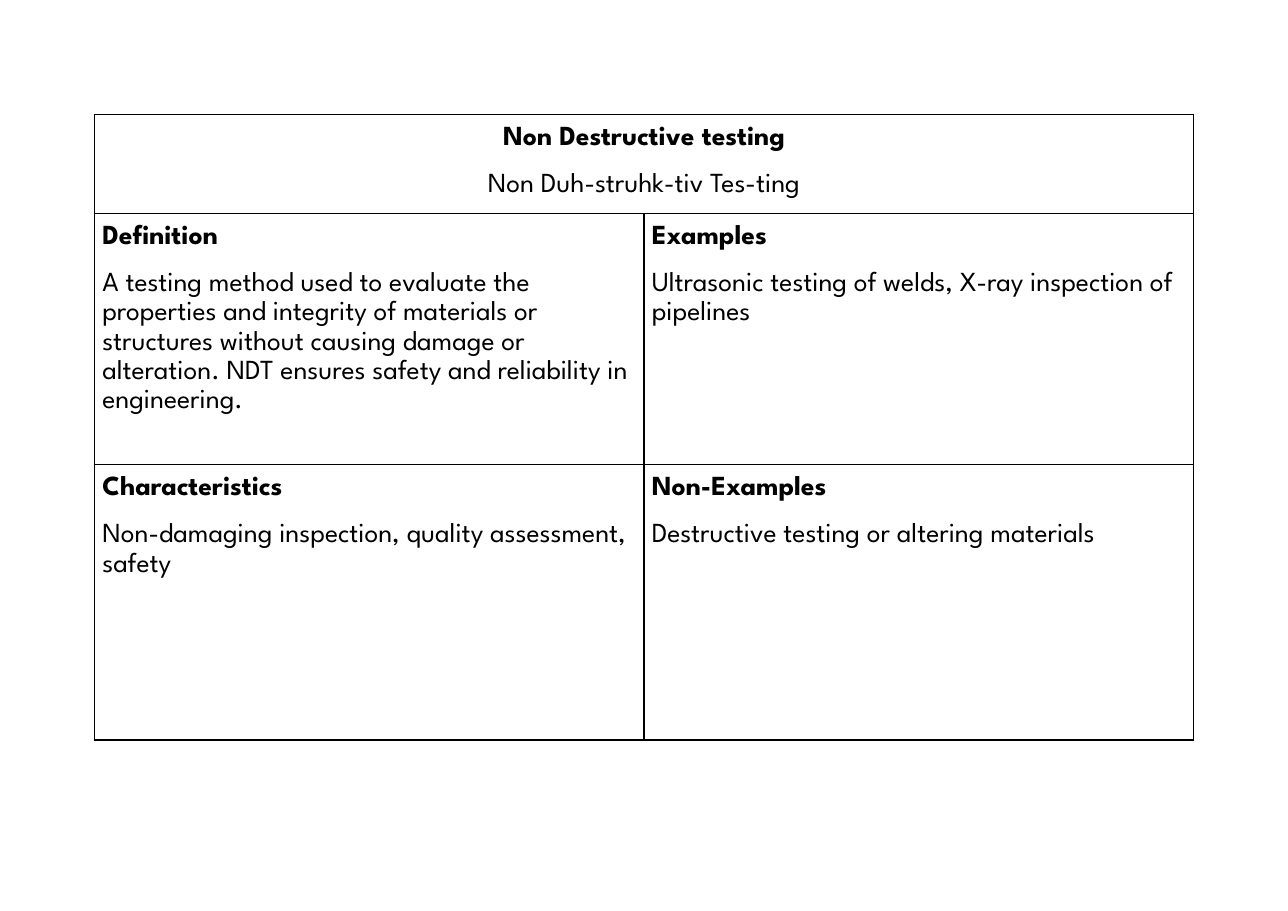
from lxml import etree
from pptx import Presentation
from pptx.dml.color import RGBColor
from pptx.enum.text import MSO_ANCHOR, PP_ALIGN
from pptx.oxml.ns import qn
from pptx.util import Cm, Pt

LEFT, CENTER = PP_ALIGN.LEFT, PP_ALIGN.CENTER
TOP = MSO_ANCHOR.TOP

COLORS = {"text": "000000", "border": "000000"}
FONT_FORMAT = {"name": "League Spartan", "size": Pt(18)}
CELL_FORMAT = {
    "margin_left": Cm(0.18),
    "margin_right": Cm(0.18),
    "margin_top": Cm(0.18),
    "margin_bottom": Cm(0.18),
    "vertical_anchor": TOP,
}
TABLE_FORMAT = {"first_row": False, "horz_banding": False}

COLUMN_WIDTHS = [Cm(12.67), Cm(12.67)]
ROW_HEIGHTS = [Cm(2.28), Cm(5.79), Cm(6.35)]

TERM = ("Non Destructive testing", "Non Duh-struhk-tiv Tes-ting")
SECTIONS = [
    [
        ("Definition",
         "A testing method used to evaluate the properties and integrity of "
         "materials or structures without causing damage or alteration. "
         "NDT ensures safety and reliability in engineering."),
        ("Examples",
         "Ultrasonic testing of welds, X-ray inspection of pipelines"),
    ],
    [
        ("Characteristics",
         "Non-damaging inspection, quality assessment, safety"),
        ("Non-Examples", "Destructive testing or altering materials"),
    ],
]


def apply_format(target, values):
    for attribute, value in values.items():
        setattr(target, attribute, value)


def add_borders(cell):
    properties = cell._tc.get_or_add_tcPr()
    for position, side in enumerate(("a:lnL", "a:lnR", "a:lnT", "a:lnB")):
        border = etree.Element(qn(side), w=str(Pt(1)))
        fill = etree.SubElement(border, qn("a:solidFill"))
        etree.SubElement(fill, qn("a:srgbClr"), val=COLORS["border"])
        properties.insert(position, border)


def write_line(paragraph, text, bold, alignment):
    paragraph.alignment = alignment
    paragraph.line_spacing = 1.15
    run = paragraph.add_run()
    run.text = text
    apply_format(run.font, {**FONT_FORMAT, "bold": bold})
    run.font.color.rgb = RGBColor.from_string(COLORS["text"])


def fill_cell(cell, heading, body, alignment=LEFT):
    frame = cell.text_frame
    write_line(frame.paragraphs[0], heading, True, alignment)
    body_line = frame.add_paragraph()
    body_line.space_before = Pt(12)
    write_line(body_line, body, False, alignment)


def add_term_table(slide):
    table = slide.shapes.add_table(
        len(ROW_HEIGHTS), len(COLUMN_WIDTHS), Cm(2.18), Cm(2.64),
        sum(COLUMN_WIDTHS), sum(ROW_HEIGHTS)).table
    apply_format(table, TABLE_FORMAT)
    for column, width in zip(table.columns, COLUMN_WIDTHS):
        column.width = width
    for row, height in zip(table.rows, ROW_HEIGHTS):
        row.height = height
    for cell in table.iter_cells():
        apply_format(cell, CELL_FORMAT)
        cell.fill.background()
        add_borders(cell)
    return table


def main():
    presentation = Presentation()
    presentation.slide_width, presentation.slide_height = Cm(29.7), Cm(21)
    slide = presentation.slides.add_slide(presentation.slide_layouts[6])
    table = add_term_table(slide)

    # Term and its pronunciation across the top
    table.cell(0, 0).merge(table.cell(0, 1))
    fill_cell(table.cell(0, 0), *TERM, alignment=CENTER)

    # Four sections below the term
    for row, sections in enumerate(SECTIONS, start=1):
        for column, (heading, body) in enumerate(sections):
            fill_cell(table.cell(row, column), heading, body)

    presentation.save("out.pptx")


if __name__ == "__main__":
    main()
